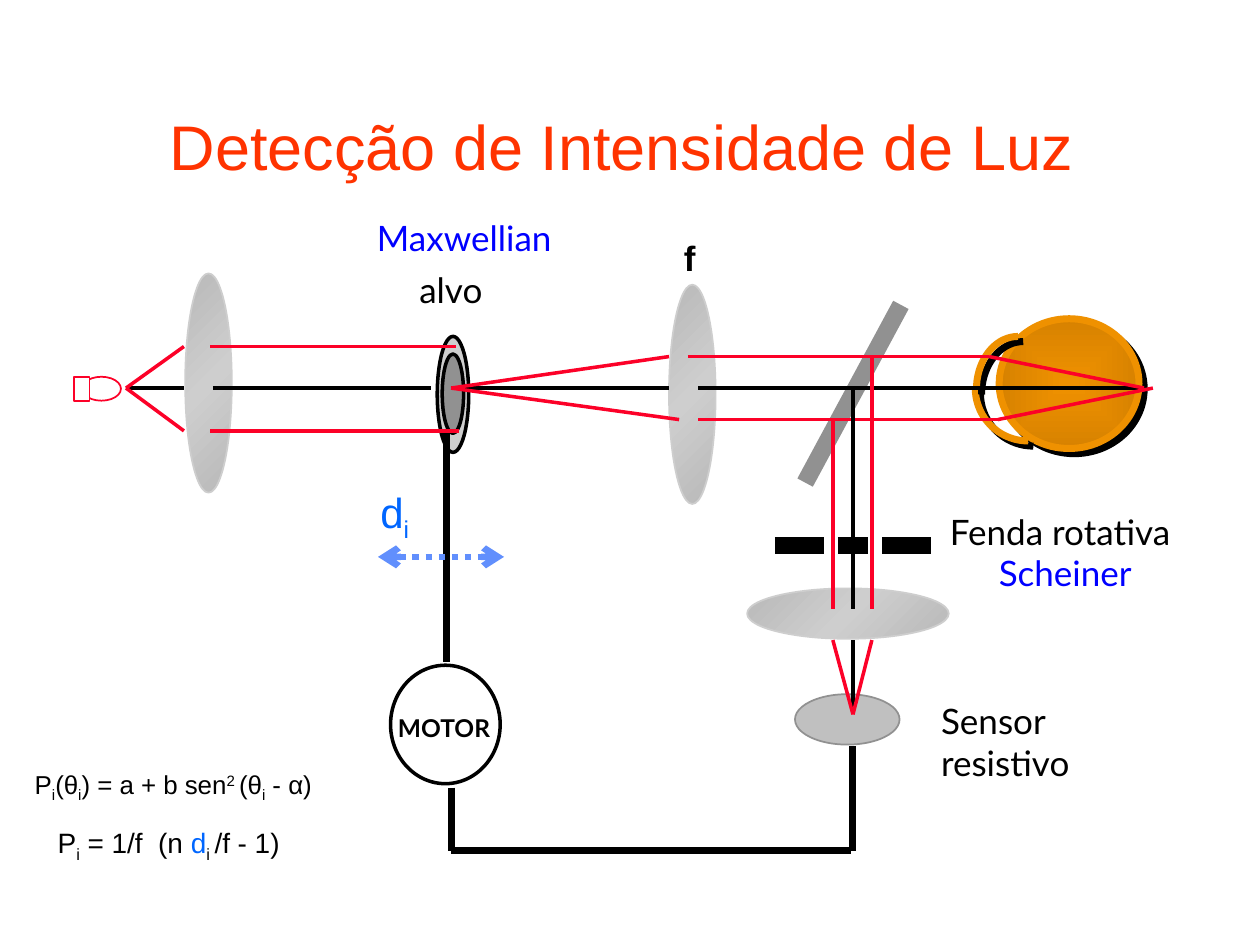
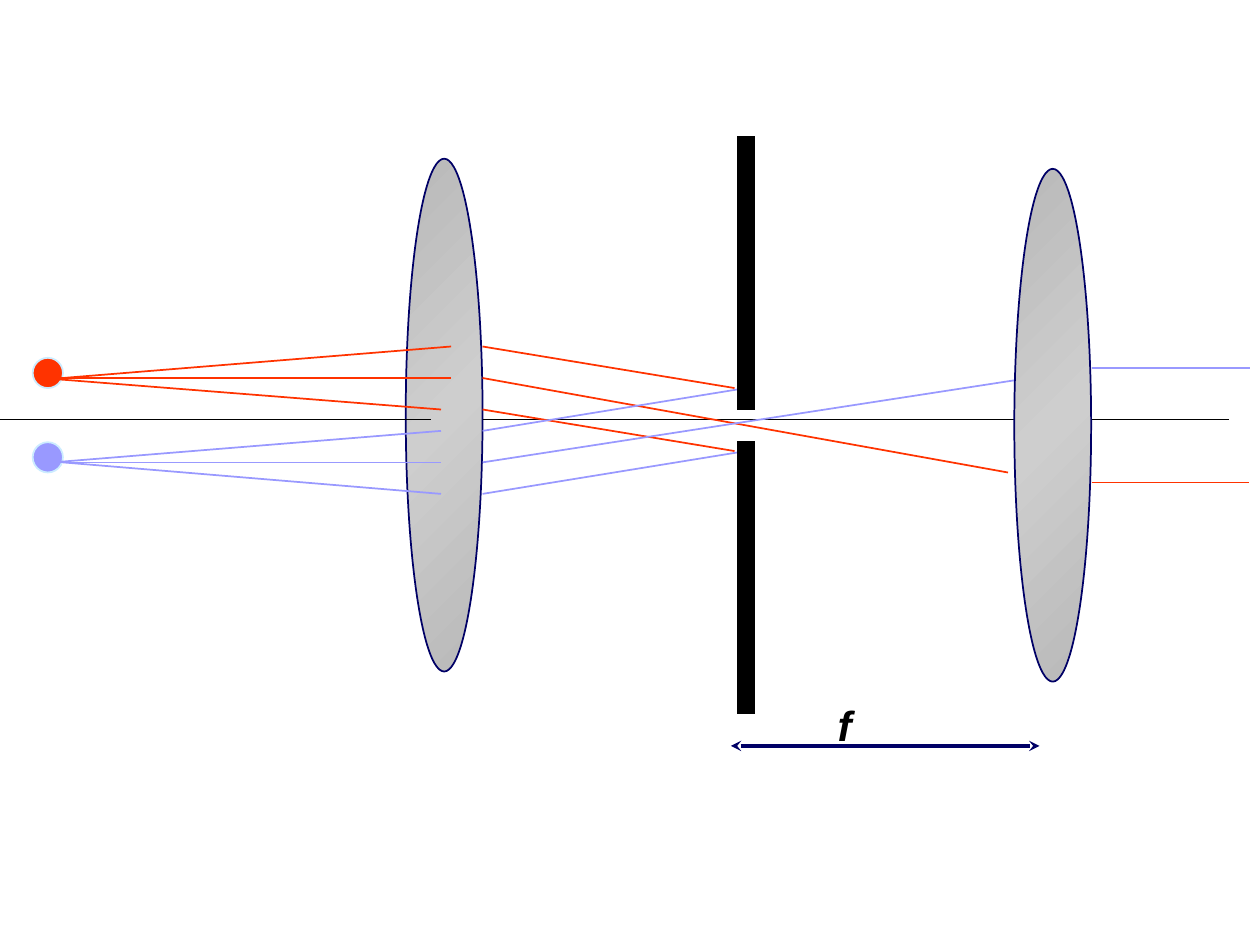
import math

import lxml.etree
import pptx
import pptx.dml.color
import pptx.enum.dml
import pptx.enum.shapes
import pptx.enum.text
import pptx.oxml
import pptx.oxml.ns
import pptx.util

hue = pptx.dml.color.RGBColor.from_string
inch = pptx.util.Inches
point = pptx.util.Pt
tag = pptx.oxml.ns.qn
kinds = pptx.enum.shapes.MSO_SHAPE
align = pptx.enum.text.PP_ALIGN

BLACK, WHITE, BLUE = "000000", "FFFFFF", "0000FF"
RED, ORANGE, LILAC = "FC0128", "FF3300", "9999FF"
NAVY, SKY, GREY = "000066", "0066FF", "919191"
SILVER, AMBER = "CECECE", "EF9100"

# A gradient is a list of (percent, colour) stops and its direction
GLASS = ([(0, "B9B9B9"), (50, SILVER), (100, "B9B9B9")],
         '<a:lin ang="2700000" scaled="0"/>')
GLOW = ([(0, AMBER), (100, "D78200")],
        '<a:path path="rect"><a:fillToRect l="50000" t="50000" '
        'r="50000" b="50000"/></a:path>')


def form(page, kind, box, fill, edge, width):
    """Add a preset shape; fill is a colour, a gradient or None."""
    item = page.shapes.add_shape(kind, *map(inch, box))
    item.shadow.inherit = False
    item.line.color.rgb = hue(edge)
    item.line.width = point(width)
    if fill is None:
        item.fill.background()
    elif isinstance(fill, str):
        item.fill.solid()
        item.fill.fore_color.rgb = hue(fill)
    else:
        stops, way = fill
        marks = "".join(
            f'<a:gs pos="{pos * 1000}"><a:srgbClr val="{tone}"/></a:gs>'
            for pos, tone in stops)
        item.fill.gradient()
        props = item._element.spPr
        props.replace(props.find(tag("a:gradFill")), pptx.oxml.parse_xml(
            f'<a:gradFill {pptx.oxml.ns.nsdecls("a")} rotWithShape="1">'
            f'<a:gsLst>{marks}</a:gsLst>{way}</a:gradFill>'))
    return item


def wire(page, tone, width, ends, tip=None, dash=None):
    """Add a straight line, with the same arrowhead at both ends if given."""
    item = page.shapes.add_connector(
        pptx.enum.shapes.MSO_CONNECTOR.STRAIGHT, *map(inch, ends))
    item.line.color.rgb = hue(tone)
    item.line.width = point(width)
    if dash:
        item.line.dash_style = dash
    props = item._element.spPr
    lxml.etree.SubElement(props, tag("a:effectLst"))
    if tip:
        for end in ("a:headEnd", "a:tailEnd"):
            lxml.etree.SubElement(props.find(tag("a:ln")), tag(end), type=tip)


deck = pptx.Presentation()
deck.slide_width, deck.slide_height = inch(10), inch(7.5)
first, second = [deck.slides.add_slide(deck.slide_layouts[6])
                 for _ in range(2)]

# Slide 1: the eye
eye = form(first, kinds.OVAL, (7.93, 2.53, 1.11, 1.03), GLOW, AMBER, 4)
cast = [eye]
for cx, cy, rx, ry, start in ((8.16, 3.08, 0.42, 0.42, 90),
                              (8.08, 3.09, 0.33, 0.42, 180)):
    angles = [math.radians(start + step) for step in range(0, 91, 5)]
    curve = [(inch(cx + rx * math.cos(turn)), inch(cy + ry * math.sin(turn)))
             for turn in angles]
    pen = first.shapes.build_freeform(*curve[0], scale=1.0)
    pen.add_line_segments(curve[1:], close=False)
    arc = pen.convert_to_shape()
    arc.fill.background()
    arc.line.color.rgb = hue(AMBER)
    arc.line.width = point(4)
    arc.shadow.inherit = False
    cast.append(arc)
for item in cast:
    item._element.spPr.find(tag("a:effectLst")).append(pptx.oxml.parse_xml(
        f'<a:outerShdw {pptx.oxml.ns.nsdecls("a")} blurRad="0" '
        f'dist="{point(4.2)}" dir="2700000" algn="ctr" rotWithShape="0">'
        f'<a:srgbClr val="{BLACK}"/></a:outerShdw>'))

# Target, lamp, lenses, mirror, sensor
for kind, box, fill, edge, width in (
        (kinds.OVAL, (3.47, 2.67, 0.25, 0.92), SILVER, BLACK, 2),
        (kinds.OVAL, (3.51, 2.81, 0.17, 0.63), GREY, BLACK, 2),
        (kinds.OVAL, (0.65, 2.99, 0.31, 0.19), WHITE, RED, 1),
        (kinds.RECTANGLE, (0.59, 2.99, 0.12, 0.19), WHITE, RED, 1),
        (kinds.OVAL, (1.47, 2.17, 0.37, 1.74), GLASS, SILVER, 1),
        (kinds.OVAL, (5.31, 2.26, 0.37, 1.74), GLASS, SILVER, 1)):
    form(first, kind, box, fill, edge, width)
wire(first, GREY, 10, (6.39, 3.83, 7.15, 2.42))
form(first, kinds.OVAL, (6.31, 5.51, 0.83, 0.4), "C0C0C0", GREY, 1)

# Rotating slit, then the motor and its wiring
for left, right in ((6.15, 6.54), (6.65, 6.89), (7, 7.39)):
    wire(first, BLACK, 10, (left, 4.33, right, 4.33))
form(first, kinds.OVAL, (3.1, 5.28, 0.87, 0.94), None, BLACK, 2)
for ends in ((3.54, 3.42, 3.54, 5.25), (3.58, 6.25, 3.58, 6.75),
             (3.58, 6.75, 6.75, 6.75), (6.77, 6.75, 6.77, 5.92)):
    wire(first, BLACK, 4, ends)

# Optical axis and the two outer rays
for left, right in ((1, 1.46), (1.69, 3.42), (3.58, 5.31), (5.54, 9.08)):
    wire(first, BLACK, 2, (left, 3.08, right, 3.08))
for ends in ((1, 3.08, 1.46, 2.75), (1.67, 2.75, 3.62, 2.75),
             (3.58, 3.08, 5.31, 2.83), (5.46, 2.83, 7.85, 2.83),
             (7.85, 2.83, 9.08, 3.08),
             (1, 3.08, 1.46, 3.42), (1.67, 3.42, 3.64, 3.42),
             (3.58, 3.08, 5.39, 3.33), (5.54, 3.33, 7.92, 3.33),
             (7.92, 3.33, 9.15, 3.08)):
    wire(first, RED, 2, ends)

# Rays sent down to the sensor
form(first, kinds.OVAL, (5.93, 4.67, 1.6, 0.4), GLASS, SILVER, 1)
for x, top, tone in ((6.77, 3.08, BLACK), (6.92, 2.83, RED),
                     (6.61, 3.33, RED)):
    wire(first, tone, 2, (x, top, x, 4.83))
    wire(first, tone, 2, (x, 5.08, 6.77, 5.67))
wire(first, "618FFD", 3.75, (3, 4.42, 4, 4.42), "arrow",
     pptx.enum.dml.MSO_LINE.ROUND_DOT)

# Slide 2: lenses, axis and light points
form(second, kinds.OVAL, (3.22, 1.26, 0.61, 4.07), GLASS, NAVY, 1)
for left, right in ((0, 3.42), (3.83, 9.75)):
    wire(second, BLACK, 1, (left, 3.33, right, 3.33))
for top, tone in ((2.84, ORANGE), (3.51, LILAC)):
    form(second, kinds.OVAL, (0.26, top, 0.24, 0.24), tone, "CCECFF", 1)
rays = {
    ORANGE: ((0.5, 3, 3.58, 2.75), (0.33, 3, 3.5, 3.25), (0.42, 3, 3.58, 3),
             (3.83, 2.75, 5.83, 3.08), (3.83, 3, 8, 3.75),
             (3.83, 3.25, 5.83, 3.58), (8.67, 3.83, 9.91, 3.83)),
    LILAC: ((0.33, 3.67, 3.5, 3.67), (3.83, 3.67, 8.17, 3),
            (0.42, 3.67, 3.5, 3.42), (3.83, 3.42, 5.92, 3.08),
            (3.83, 3.92, 5.92, 3.58), (3.5, 3.92, 0.5, 3.67),
            (8.67, 2.92, 9.92, 2.92)),
}
for tone, paths in rays.items():
    for ends in paths:
        wire(second, tone, 1, ends)
for top in (1.08, 3.5):
    wire(second, BLACK, 10, (5.92, top, 5.92, top + 2.17))
form(second, kinds.OVAL, (8.05, 1.34, 0.61, 4.07), GLASS, NAVY, 1)
wire(second, NAVY, 2, (5.8, 5.92, 8.25, 5.92), "stealth")

# Text of both slides: a run is (text, baseline percent, colour)
label = {"name": "Lato", "size": point(20)}
title = {"name": "Arial", "size": point(36)}
rule = {"name": "Arial", "size": point(14.8)}
sum_ = {"name": "Arial", "size": point(16)}
sign = {"name": "Arial", "size": point(24)}
mid = {"alignment": align.CENTER}
flush = {"alignment": align.LEFT}
loose = {"word_wrap": False}
head = {"word_wrap": True, "margin_top": inch(0.6),
        "margin_right": inch(0.24)}
body = {"word_wrap": True, "margin_top": inch(0.27)}
texts = (
    (first, (1.08, 0.25, 7.85, 1.25), title, mid, head,
     [[("Detecção de Intensidade de Luz", 0, ORANGE)]]),
    (first, (3.06, 5.61, 0.94, 0.33),
     {**label, "size": point(14), "bold": True}, flush, loose,
     [[("MOTOR", 0, BLACK)]]),
    (first, (3.23, 2.08, 0.74, 0.44), label, flush, loose,
     [[("alvo", 0, BLACK)]]),
    (first, (7.37, 5.5, 1.29, 0.77), label, flush, loose,
     [[("Sensor", 0, BLACK)], [("resistivo", 0, BLACK)]]),
    (first, (7.44, 4, 2.08, 0.44), label, flush, loose,
     [[("Fenda rotativa", 0, BLACK)]]),
    (first, (0, 5.83, 2.75, 0.58), rule, mid, body,
     [[("P", 0, BLACK), ("i", -25, BLACK), ("(θ", 0, BLACK),
       ("i", -25, BLACK), (") = a + b sen", 0, BLACK), ("2 ", 30, BLACK),
       ("(θ", 0, BLACK), ("i", -25, BLACK), (" - α)", 0, BLACK)]]),
    (first, (0.36, 6.5, 1.96, 0.4), sum_, flush, loose,
     [[("P", 0, BLACK), ("i", -25, BLACK), (" = 1/f  (n ", 0, BLACK),
       ("d", 0, SKY), ("i ", -25, BLACK), ("/f - 1)", 0, BLACK)]]),
    (first, (5.33, 1.83, 0.29, 0.43),
     {**sign, "size": point(20), "bold": True}, flush, loose,
     [[("f", 0, BLACK)]]),
    (first, (2.92, 3.81, 0.43, 0.56), sign, flush, loose,
     [[("d", 0, SKY), ("i", -25, SKY)]]),
    (first, (2.85, 1.67, 1.67, 0.44), label, mid, loose,
     [[("Maxwellian", 0, BLUE)]]),
    (first, (7.79, 4.33, 1.33, 0.44), label, mid, loose,
     [[("Scheiner", 0, BLUE)]]),
    (second, (6.55, 5.5, 0.53, 0.5), {**sign, "bold": True, "italic": True},
     flush, {"word_wrap": True}, [[("f", 0, BLACK)]]),
)
for page, box, look, place, fit, lines in texts:
    frame = page.shapes.add_textbox(*map(inch, box)).text_frame
    for name, value in fit.items():
        setattr(frame, name, value)
    for count, line in enumerate(lines):
        para = frame.add_paragraph() if count else frame.paragraphs[0]
        for name, value in place.items():
            setattr(para, name, value)
        for words, base, tone in line:
            run = para.add_run()
            run.text = words
            run.font.color.rgb = hue(tone)
            for name, value in look.items():
                setattr(run.font, name, value)
            if base:
                run._r.get_or_add_rPr().set("baseline", str(base * 1000))

deck.save("out.pptx")
